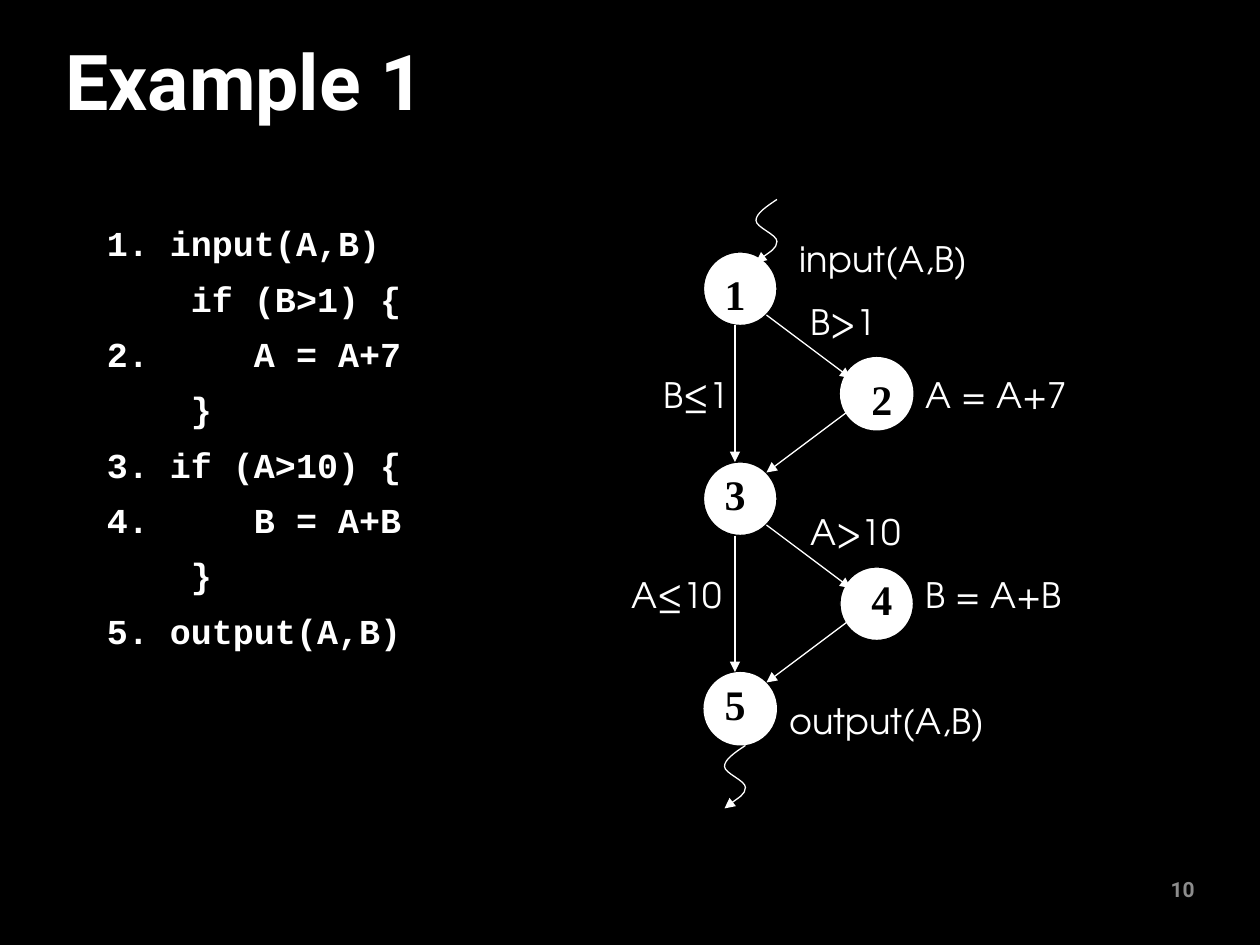
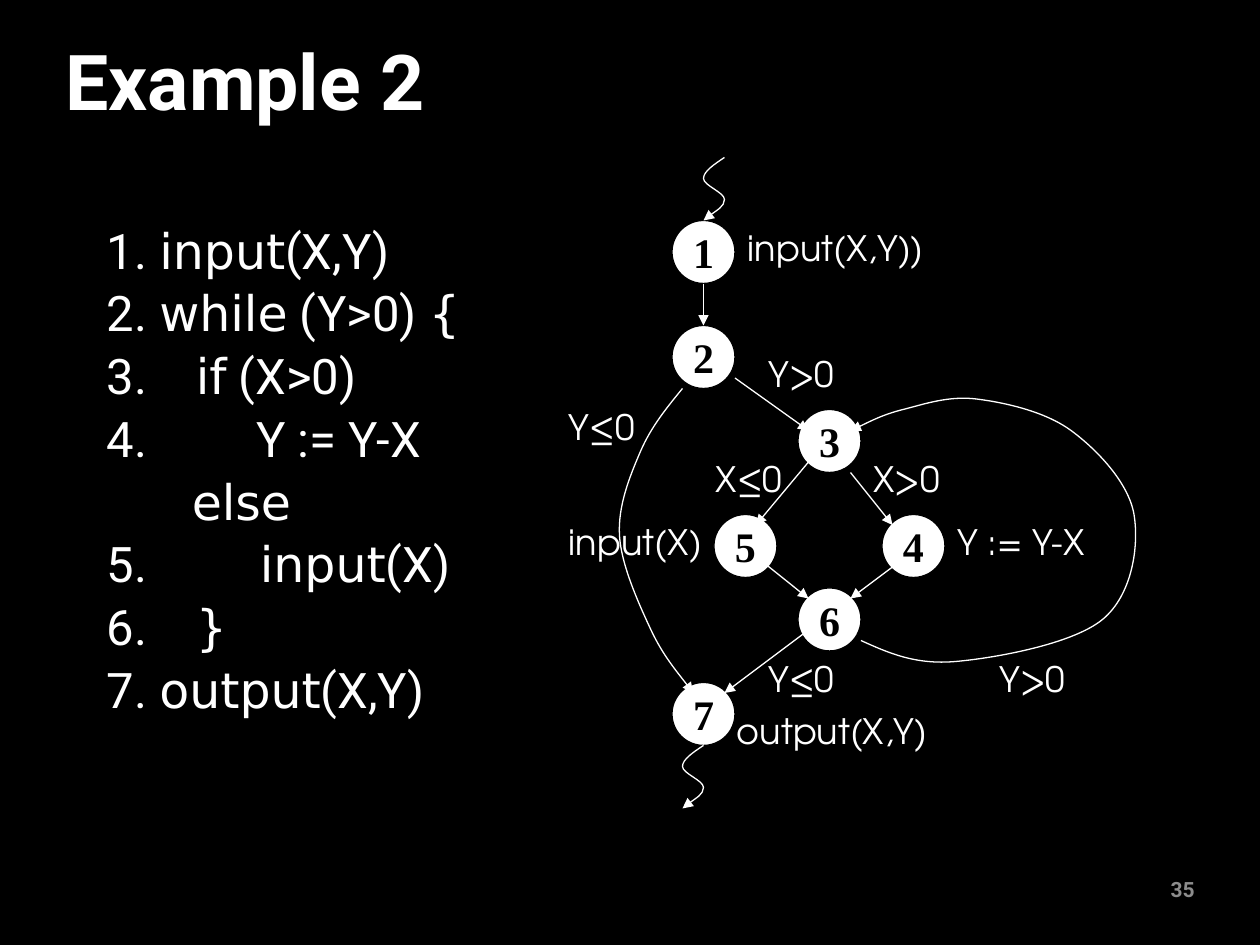
import pptx
import pptx.dml.color
import pptx.enum.shapes
import pptx.enum.text
import pptx.oxml
import pptx.oxml.ns
import pptx.util
from pptx.util import Inches, Pt

BLACK, WHITE, GREY = "000000", "FFFFFF", "8C8C8C"
HEADING_FONT, LABEL_FONT, NUMBER_FONT = "Roboto", "TeX Gyre Adventor", "Times New Roman"
ALIGN = pptx.enum.text.PP_ALIGN
ANCHOR = pptx.enum.text.MSO_ANCHOR
AUTO_SIZE = pptx.enum.text.MSO_AUTO_SIZE
GRID = 1 / 12  # flow graphs are laid out on a grid of twelfths of an inch
SQUIGGLE = [(2, 0), (0, 2), (2, 4), (0, 6)]


def rgb(value):
    return pptx.dml.color.RGBColor.from_string(value)


def drawing_element(tag, **attributes):
    """Make an empty DrawingML element."""
    element = pptx.oxml.parse_xml(
        f'<a:{tag} xmlns:a="http://schemas.openxmlformats.org/drawingml/2006/main"/>')
    for name, value in attributes.items():
        element.set(name, value)
    return element


def format_run(r, font, size, color=WHITE, bold=False):
    r.font.name, r.font.size, r.font.bold = font, Pt(size), bold
    r.font.color.rgb = rgb(color)


def add_text(slide, box, text, font, size, color=WHITE, bold=False, align=ALIGN.LEFT,
             anchor=ANCHOR.TOP, line_spacing=1.0, auto_size=AUTO_SIZE.NONE):
    tf = slide.shapes.add_textbox(*map(Inches, box)).text_frame
    tf.word_wrap = True
    tf.auto_size = auto_size
    tf.vertical_anchor = anchor
    p = tf.paragraphs[0]
    p.text, p.alignment, p.line_spacing = text, align, line_spacing
    format_run(p.runs[0], font, size, color, bold)


def add_base_slide(prs, title, number):
    """Add a black slide with its title and page number."""
    slide = prs.slides.add_slide(prs.slide_layouts[6])
    slide.background.fill.solid()
    slide.background.fill.fore_color.rgb = rgb(BLACK)
    add_text(slide, (0.42, 0.29, 9.15, 0.78), title, HEADING_FONT, 44, bold=True,
             anchor=ANCHOR.MIDDLE, line_spacing=0.9)
    add_text(slide, (8.51, 6.86, 1.07, 0.4), number, HEADING_FONT, 12, GREY, True,
             ALIGN.RIGHT, ANCHOR.MIDDLE)
    return slide


def add_code(slide, box, lines, fonts, size, bold=False, before=0, after=0):
    """Write code lines; each "|" in a line switches between the two fonts."""
    tf = slide.shapes.add_textbox(*map(Inches, box)).text_frame
    tf.word_wrap = True
    for i, line in enumerate(lines):
        p = tf.add_paragraph() if i else tf.paragraphs[0]
        p.line_spacing, p.space_before, p.space_after = 0.9, Pt(before), Pt(after)
        for j, part in enumerate(line.split("|")):
            if part:
                r = p.add_run()
                r.text = part
                format_run(r, fonts[j % 2], size, bold=bold)


def style_arrow(sp):
    sp.line.color.rgb = rgb(WHITE)
    sp.line.width = Pt(0.75)
    sp.line._get_or_add_ln().append(drawing_element("tailEnd", type="triangle"))


def spline(points):
    """Return start, then two controls and an end for each piece of a smooth curve."""
    def tangent(i):
        (x0, y0), (x1, y1) = points[max(i - 1, 0)], points[min(i + 1, len(points) - 1)]
        return (x1 - x0) / 6, (y1 - y0) / 6

    curve = [points[0]]
    for i, (start, end) in enumerate(zip(points, points[1:])):
        c2 = [e - d for e, d in zip(end, tangent(i + 1))]
        if i:
            c1 = [s + d for s, d in zip(start, tangent(i))]
        else:
            c1 = [(s + c) / 2 for s, c in zip(start, c2)]
        curve += [c1, c2, end]
    return curve


def lines_to_beziers(sp):
    """Turn each three line segments of a freeform into one Bezier segment."""
    lines = list(sp._element.iter(pptx.oxml.ns.qn("a:lnTo")))
    for i in range(0, len(lines), 3):
        bezier = drawing_element("cubicBezTo")
        lines[i].addprevious(bezier)
        for line in lines[i:i + 3]:
            bezier.append(line[0])
            line.getparent().remove(line)


class FlowGraph:
    """Draws on a slide in grid units, measured from the graph's top left corner."""

    def __init__(self, slide, left, top):
        self.slide, self.left, self.top = slide, left, top

    def at(self, x, y):
        return (self.left + x) * GRID, (self.top + y) * GRID

    def node(self, number, x, y, size, dx=0, dy=0, outlined=True):
        sp = self.slide.shapes.add_shape(
            pptx.enum.shapes.MSO_SHAPE.OVAL,
            *map(Inches, (*self.at(x, y), size * GRID, size * GRID)))
        sp.shadow.inherit = False
        sp.fill.solid()
        sp.fill.fore_color.rgb = rgb(WHITE)
        if outlined:
            sp.line.color.rgb = rgb(BLACK)
            sp.line.width = Pt(0.75)
        else:
            sp.line.fill.background()
        add_text(self.slide, (*self.at(x + dx, y + dy), 0.5, 0.5), str(number), NUMBER_FONT,
                 24, BLACK, True, ALIGN.CENTER, auto_size=AUTO_SIZE.SHAPE_TO_FIT_TEXT)

    def edge(self, x1, y1, x2, y2):
        sp = self.slide.shapes.add_connector(
            pptx.enum.shapes.MSO_CONNECTOR.STRAIGHT,
            *map(Inches, (*self.at(x1, y1), *self.at(x2, y2))))
        style_arrow(sp)
        sp._element.spPr.append(drawing_element("effectLst"))

    def curve(self, points):
        start, *rest = [tuple(map(Inches, self.at(x, y))) for x, y in spline(points)]
        builder = self.slide.shapes.build_freeform(*start)
        builder.add_line_segments(rest, close=False)
        sp = builder.convert_to_shape()
        lines_to_beziers(sp)
        sp.shadow.inherit = False
        sp.fill.background()
        style_arrow(sp)

    def squiggle(self, x, y):
        self.curve([(x + dx, y + dy) for dx, dy in SQUIGGLE])

    def label(self, text, x, y, width):
        add_text(self.slide, (*self.at(x, y), width * GRID, 0.43), text, LABEL_FONT, 20,
                 auto_size=AUTO_SIZE.SHAPE_TO_FIT_TEXT)


def draw_branch_graph(slide, left, top):
    graph = FlowGraph(slide, left, top)
    for node in [(1, 8, 5, 7, 0, 1), (2, 21, 15, 7, 1, 1, False), (3, 8, 25, 7),
                 (4, 21, 35, 7, 1, 0), (5, 8, 45, 7, 0, 0, False)]:
        graph.node(*node)
    for dy in (0, 20):
        graph.edge(14, 11 + dy, 22, 17 + dy)
        graph.edge(22, 20 + dy, 14, 26 + dy)
        graph.edge(11, 12 + dy, 11, 25 + dy)
    graph.squiggle(13, 0)
    graph.squiggle(10, 52)
    for label in [("input(A,B)", 16, 3, 23), ("A = A+7", 28, 16, 23),
                  ("B = A+B", 28, 35, 19), ("B>1", 17, 9, 11), ("B≤1", 3, 16, 9),
                  ("A>10", 17, 29, 11), ("A≤10", 0, 35, 11), ("output(A,B)", 15, 47, 23)]:
        graph.label(*label)


def draw_loop_graph(slide, left, top):
    graph = FlowGraph(slide, left, top)
    for node in [(1, 11, 6), (2, 11, 16), (3, 23, 24), (4, 31, 34),
                 (5, 15, 34), (6, 23, 41), (7, 11, 50)]:
        graph.node(*node, size=6)
    for edge in [(14, 12, 14, 16), (17, 21, 24, 26), (28, 30, 32, 35), (24, 29, 19, 35),
                 (19, 38, 24, 42), (32, 39, 28, 42), (24, 45, 16, 51)]:
        graph.edge(*edge)
    graph.squiggle(14, 0)
    graph.squiggle(12, 56)
    for label in [("input(X,Y))", 17, 6, 23), ("Y := Y-X", 37, 34, 15),
                  ("input(X)", 0, 34, 16), ("Y>0", 19, 18, 11), ("Y≤0", 19, 47, 9),
                  ("X>0", 29, 28, 10), ("X≤0", 14, 28, 9), ("output(X,Y)", 16, 52, 22),
                  ("Y>0", 41, 47, 11), ("Y≤0", 0, 23, 9)]:
        graph.label(*label)
    loop_exit = [(12, 22), (8, 28), (6, 36), (9, 45), (13, 51)]
    loop_back = [(29, 46), (38, 48), (52, 44), (55, 34), (49, 26), (40, 23), (33, 24), (28, 26)]
    graph.curve(loop_exit)
    graph.curve(loop_back)


def main():
    prs = pptx.Presentation()
    prs.slide_width, prs.slide_height = Inches(10), Inches(7.5)

    slide = add_base_slide(prs, "Example 1", "10")
    add_code(slide, (0.75, 1.75, 3.33, 4.5), [
        "1. input(A,B)",
        "    if (B>1) {",
        "2.     A = A+7",
        "    }",
        "3. if (A>10) {",
        "4.     B = A+B",
        "    }",
        "5. output(A,B)",
    ], ("Courier New", "Courier New"), 20, bold=True, before=10)
    draw_branch_graph(slide, 59, 19)

    slide = add_base_slide(prs, "Example 2", "35")
    add_code(slide, (0.75, 1.75, 3.67, 4.5), [
        "1. |input|(X,Y)",
        "2. |while| (Y>0) |{",
        "3.    |if| (X>0)",
        "4.         Y := Y-X",
        "       |else",
        "5.        | input|(X)",
        "6.    |}",
        "7. |output|(X,Y)",
    ], ("Roboto", "DejaVu Sans"), 28, before=2.8, after=2.8)
    draw_loop_graph(slide, 53, 15)

    prs.save("out.pptx")


if __name__ == "__main__":
    main()
